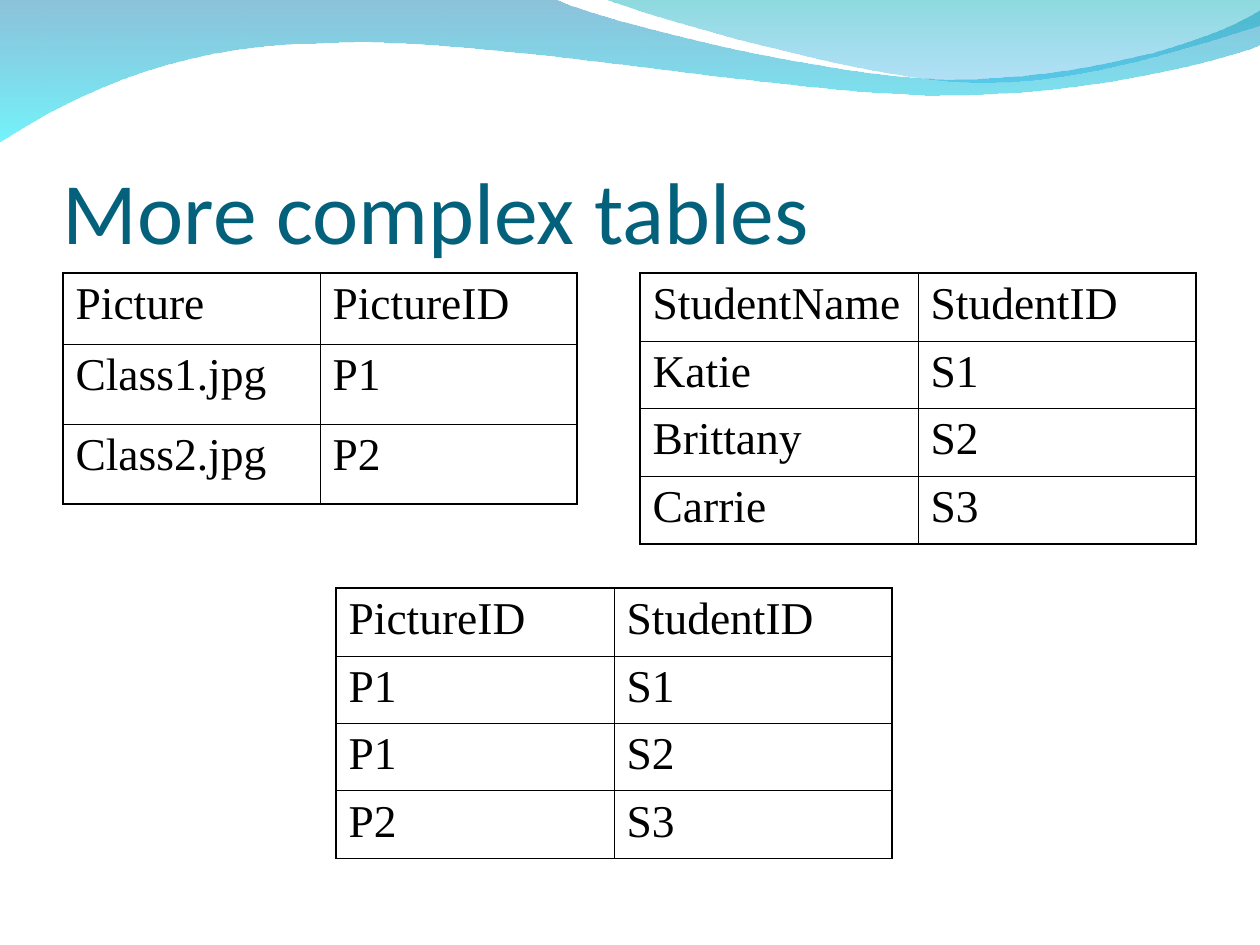
from lxml.etree import SubElement
from pptx import Presentation
from pptx.dml.color import RGBColor
from pptx.enum.text import MSO_ANCHOR
from pptx.oxml.ns import qn
from pptx.util import Emu, Pt

PX_PER_INCH = 126
COLOURS = {
    "title": "04617B",
    "ink": "000000",
    "blue": "0079AF",
    "cyan": "00EBF8",
    "teal": "00ADB6",
    "sky": "009BE5",
}
OUTER_LINE, INNER_LINE = Pt(1.08), Pt(0.45)


def px(length):
    return Emu(round(length * 914400 / PX_PER_INCH))


def colour(name):
    return RGBColor.from_string(COLOURS[name])


def style_text(para, font_name, size, colour_name):
    for span in para.runs:
        span.font.name = font_name
        span.font.size = Pt(size)
        span.font.color.rgb = colour(colour_name)


def bend_outline(wave, segments):
    """Join the three line ends of each curved segment into one Bezier curve."""
    line_ends = iter(list(wave.element.spPr.iter(qn("a:lnTo"))))
    for segment in segments:
        first, *others = [next(line_ends) for _ in segment]
        if others:
            first.tag = qn("a:cubicBezTo")
        for other in others:
            first.append(other[0])
            other.getparent().remove(other)


def add_wave(page, start, segments, stops):
    """A segment holds one point for a line or three for a curve."""
    points = [(px(x), px(y)) for segment in segments for x, y in segment]
    builder = page.shapes.build_freeform(px(start[0]), px(start[1]))
    builder.add_line_segments(points, close=True)
    wave = builder.convert_to_shape()
    bend_outline(wave, segments)
    wave.shadow.inherit = False
    wave.line.fill.background()
    wave.fill.gradient()
    wave.fill.gradient_angle = 270
    for stop, position, (name, _) in zip(wave.fill.gradient_stops, (0, 1), stops):
        stop.position = position
        stop.color.rgb = colour(name)
    # Opacity of each gradient stop
    for node, (_, opacity) in zip(wave.element.spPr.iter(qn("a:srgbClr")), stops):
        SubElement(node, qn("a:alpha"), val=str(opacity * 1000))


def add_title(page, text):
    box = page.shapes.add_textbox(px(63), px(105), px(1134), px(157))
    frame = box.text_frame
    frame.word_wrap = True
    frame.vertical_anchor = MSO_ANCHOR.BOTTOM
    frame.margin_left = frame.margin_right = frame.margin_bottom = 0
    frame.margin_top = px(6)
    frame.text = text
    style_text(frame.paragraphs[0], "Calibri", 50, "title")


def set_borders(cell, outer_sides):
    properties = cell._tc.get_or_add_tcPr()
    for side in "LRTB":
        width = OUTER_LINE if side in outer_sides else INNER_LINE
        line = SubElement(properties, qn(f"a:ln{side}"), w=str(width))
        fill = SubElement(line, qn("a:solidFill"))
        SubElement(fill, qn("a:srgbClr"), val=COLOURS["ink"])


def add_grid(page, left, top, column_width, row_heights, rows):
    last_row, last_column = len(rows) - 1, len(rows[0]) - 1
    table = page.shapes.add_table(
        len(rows), len(rows[0]), px(left), px(top),
        px(column_width * len(rows[0])), px(sum(row_heights))).table
    table.first_row = table.horz_banding = False
    for column in table.columns:
        column.width = px(column_width)
    for r, (height, values) in enumerate(zip(row_heights, rows)):
        table.rows[r].height = px(height)
        for c, value in enumerate(values):
            cell = table.cell(r, c)
            edges = {"L": c == 0, "R": c == last_column,
                     "T": r == 0, "B": r == last_row}
            set_borders(cell, [side for side, outer in edges.items() if outer])
            cell.fill.background()
            cell.text_frame.text = value
            style_text(cell.text_frame.paragraphs[0], "Times New Roman", 26, "ink")


def main():
    deck = Presentation()
    deck.slide_width, deck.slide_height = px(1260), px(945)
    page = deck.slides.add_slide(deck.slide_layouts[6])

    # Waves along the top
    add_wave(page, (0, -1), [
        [(554, -1)],
        [(600, 21), (837, 79), (955, 79)],
        [(1075, 79), (1207, 45), (1260, 11)],
        [(1261, 45)],
        [(1239, 55), (1096, 96), (940, 95)],
        [(784, 95), (481, 35), (324, 43)],
        [(163, 44), (58, 105), (-1, 142)],
    ], [("blue", 45), ("cyan", 55)])
    add_wave(page, (604, -1), [
        [(641, 14), (859, 78), (969, 82)],
        [(1079, 87), (1211, 40), (1260, 26)],
        [(1260, 0)],
    ], [("teal", 45), ("sky", 30)])

    add_title(page, "More complex tables")

    # Pictures, students, and the table that links them
    add_grid(page, 63, 273, 257, [71, 80, 80], [
        ("Picture", "PictureID"), ("Class1.jpg", "P1"), ("Class2.jpg", "P2")])
    add_grid(page, 640, 273, 278, [68, 67, 68, 68], [
        ("StudentName", "StudentID"), ("Katie", "S1"),
        ("Brittany", "S2"), ("Carrie", "S3")])
    add_grid(page, 336, 588, 278, [68, 67, 67, 68], [
        ("PictureID", "StudentID"), ("P1", "S1"), ("P1", "S2"), ("P2", "S3")])

    deck.save("out.pptx")


if __name__ == "__main__":
    main()
